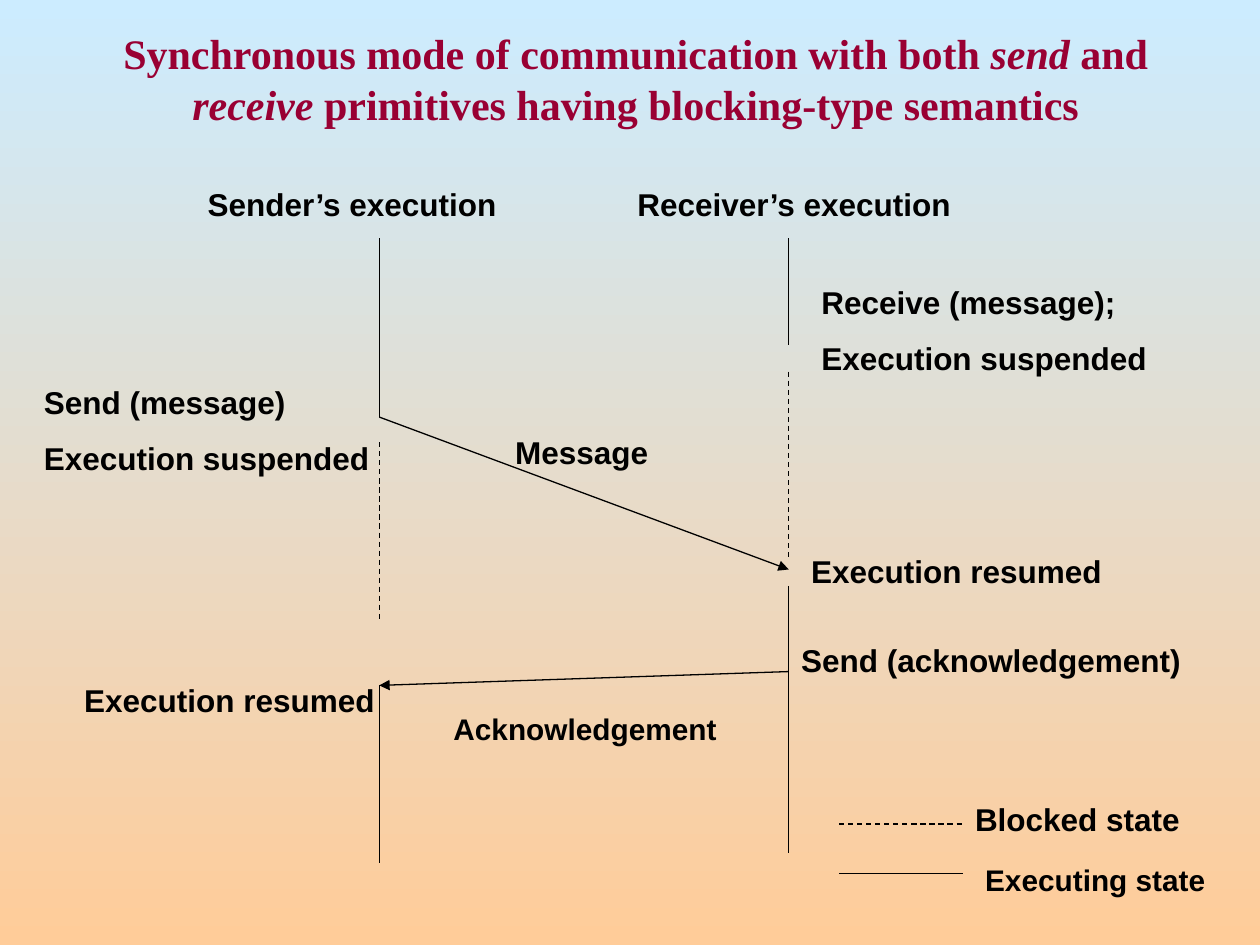
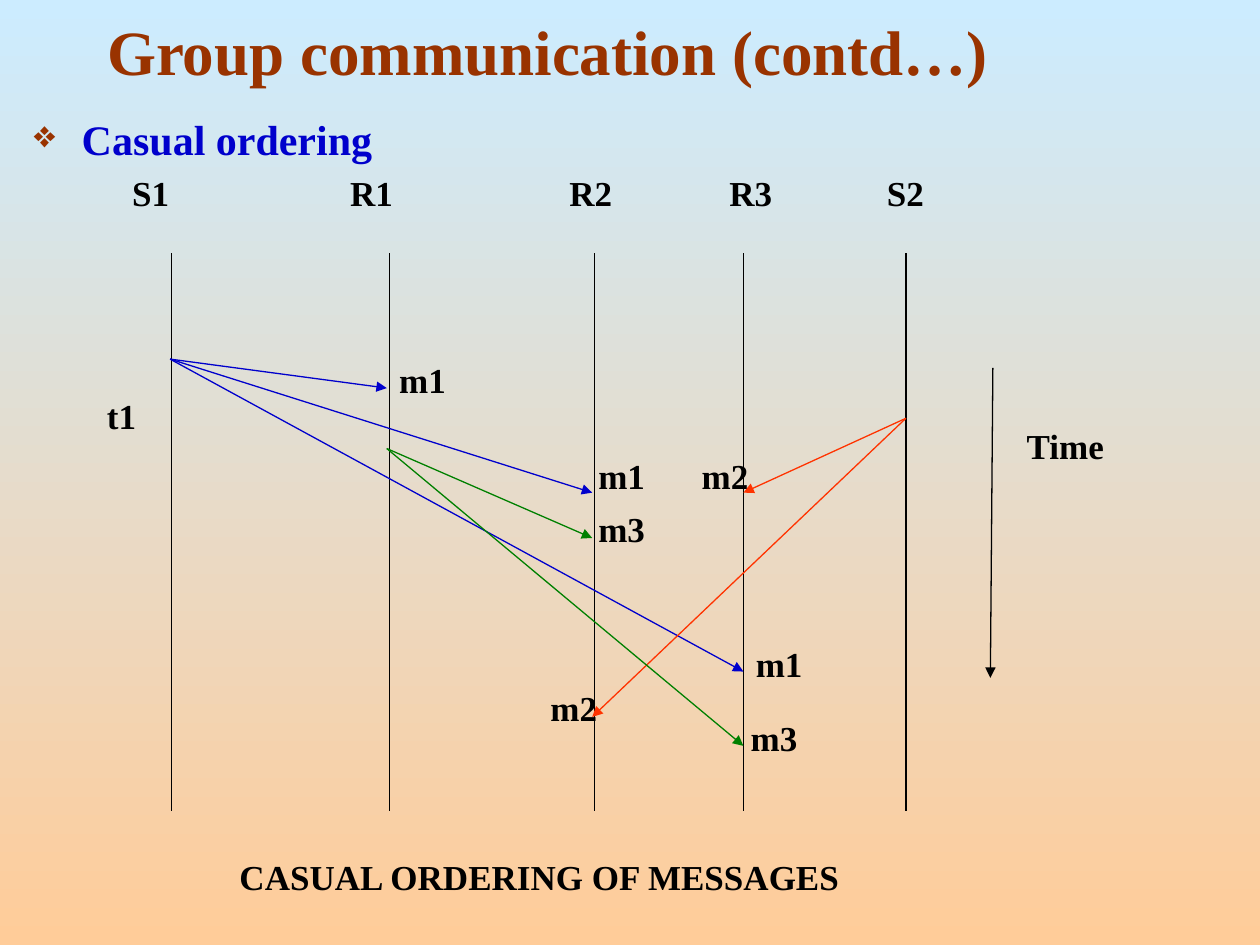
from dataclasses import dataclass
from typing import Any

from lxml import etree
from pptx import Presentation
from pptx import util as u
from pptx.dml.color import RGBColor
from pptx.enum import dml, shapes, text
from pptx.oxml import ns

SKY = RGBColor(0xCC, 0xEC, 0xFF)
PEACH = RGBColor(0xFF, 0xCC, 0x99)
BLACK = RGBColor(0x00, 0x00, 0x00)
CRIMSON = RGBColor(0x99, 0x00, 0x33)
BROWN = RGBColor(0x99, 0x33, 0x00)
BLUE = RGBColor(0x00, 0x00, 0xCC)
GREEN = RGBColor(0x00, 0x80, 0x00)
RED = RGBColor(0xFF, 0x33, 0x00)
SANS, SERIF = "Arial", "Times New Roman"
LEFT, CENTER, RIGHT = text.PP_ALIGN.LEFT, text.PP_ALIGN.CENTER, text.PP_ALIGN.RIGHT


def write(frame, content, size=18, font=SANS, color=BLACK, align=LEFT,
          anchor=text.MSO_ANCHOR.TOP):
    """Fill a frame with bold text; each *marked* part is italic."""
    frame.word_wrap = True
    frame.auto_size = text.MSO_AUTO_SIZE.NONE
    frame.vertical_anchor = anchor
    for number, line in enumerate(content.split("\n")):
        paragraph = frame.add_paragraph() if number else frame.paragraphs[0]
        paragraph.alignment = align
        paragraph.space_before = u.Pt(size * 0.57 if number else 0)
        for part_number, part in enumerate(line.split("*")):
            run = paragraph.add_run()
            run.text = part
            run.font.size, run.font.name = u.Pt(size), font
            run.font.bold, run.font.italic = True, part_number % 2 == 1
            run.font.color.rgb = color


@dataclass
class Region:
    """A part of a slide; its lengths are inches from its top left corner."""
    slide: Any
    left: float
    top: float

    def at(self, x, y):
        return u.Inches(self.left + x), u.Inches(self.top + y)

    def label(self, content, x, y, width, height=0.4, **style):
        box = self.slide.shapes.add_textbox(
            *self.at(x, y), u.Inches(width), u.Inches(height))
        write(box.text_frame, content, **style)
        return box.text_frame.paragraphs[0]

    def line(self, start, end, color=BLACK, dashed=False, arrow=False):
        connector = self.slide.shapes.add_connector(
            shapes.MSO_CONNECTOR.STRAIGHT, *self.at(*start), *self.at(*end))
        connector.line.color.rgb = color
        connector.line.width = u.Pt(0.75)
        if dashed:
            connector.line.dash_style = dml.MSO_LINE.DASH
        if arrow:
            etree.SubElement(connector.line._get_or_add_ln(), ns.qn("a:tailEnd"),
                             type="triangle")
        etree.SubElement(connector._element.spPr, ns.qn("a:effectLst"))


def paint_background(master):
    fill = master.background.fill
    fill.gradient()
    fill.gradient_angle = 270
    for stop, color in zip(fill.gradient_stops, (SKY, PEACH)):
        stop.color.rgb = color


def add_titled_slide(prs, title, box, **style):
    slide = prs.slides.add_slide(prs.slide_layouts[5])
    holder = slide.shapes.title
    holder.left, holder.top, holder.width, holder.height = map(u.Inches, box)
    write(holder.text_frame, title, font=SERIF, **style)
    return slide


def draw_exchange(region):
    """Sender and receiver timelines with the two messages between them."""
    sender, receiver = 2.76, 6.01
    states = {
        sender: [(0.47, 1.89), (2.09, 3.5), (4.02, 5.43)],
        receiver: [(0.47, 1.32), (1.53, 3.02), (3.23, 5.35)],
    }
    for x, spans in states.items():
        for number, (start, end) in enumerate(spans):
            region.line((x, start), (x, end), dashed=number == 1)
    region.line((sender, 1.89), (receiver, 3.1), arrow=True)
    region.line((receiver, 3.91), (sender, 4.02), arrow=True)

    for content, x, y, width in [
        ("Sender’s execution", 1.3, 0, 2.6),
        ("Receiver’s execution", 4.71, 0, 2.92),
        ("Message", 3.74, 1.97, 1.95),
        ("Execution resumed", 0.32, 3.94, 2.6),
        ("Send (acknowledgement)", receiver, 3.62, 3.25),
        ("Execution resumed", 6.09, 2.91, 2.6),
    ]:
        region.label(content, x, y, width)
    region.label("Acknowledgement", 3.25, 4.17, 2.35, size=17)
    region.label("Send (message)\nExecution suspended", 0, 1.57, 2.92, 0.85)
    region.label("Receive (message);\nExecution suspended", 6.17, 0.78, 2.92, 0.85)


def draw_legend(region):
    region.line((0, 0.24), (0.98, 0.24), dashed=True)
    region.label("Blocked state", 0.98, 0, 1.87)
    region.line((0, 0.63), (0.98, 0.63))
    region.label("Executing state", 1.06, 0.49, 2.03, size=17)


def add_bullet_heading(region, content):
    heading = region.label(content, 0, 0, 9.58, 0.6, size=24, font=SERIF, color=BLUE,
                           align=text.PP_ALIGN.JUSTIFY)
    heading.line_spacing = 1.25
    properties = heading._p.get_or_add_pPr()
    properties.set("marL", str(u.Inches(0.38)))
    properties.set("indent", str(u.Inches(-0.38)))
    bullet_color = etree.SubElement(properties, ns.qn("a:buClr"))
    etree.SubElement(bullet_color, ns.qn("a:srgbClr"), val=str(BROWN))
    etree.SubElement(properties, ns.qn("a:buSzPct"), val="90000")
    etree.SubElement(properties, ns.qn("a:buChar"), char="❖")


def draw_ordering(region):
    """Five process timelines, the multicasts between them and a time arrow."""
    style = dict(size=20, font=SERIF)
    for process, label_x, line_x in [
        ("S1", 0.2, 0.61), ("R1", 1.93, 2.34), ("R2", 3.67, 3.97),
        ("R3", 4.94, 5.15), ("S2", 6.19, 6.44),
    ]:
        region.line((line_x, 0.7), (line_x, 5.13))
        region.label(process, label_x, 0, 0.82, **style)

    multicasts = [
        ("m1", BLUE, (0.6, 1.54), [((2.32, 1.77), (2.32, 1.49)),
                                   ((3.95, 2.6), (3.9, 2.25)),
                                   ((5.15, 4.02), (5.15, 3.74))]),
        ("m2", RED, (6.44, 2.01), [((3.95, 4.38), (3.52, 4.09)),
                                   ((5.15, 2.6), (4.72, 2.25))]),
        ("m3", GREEN, (2.32, 2.25), [((3.95, 2.96), (3.9, 2.67)),
                                     ((5.15, 4.61), (5.11, 4.33))]),
    ]
    for message, color, origin, deliveries in multicasts:
        for arrival, label_at in deliveries:
            region.line(origin, arrival, color, arrow=True)
            region.label(message, *label_at, 0.82, **style)

    region.label("t1", 0, 1.77, 0.82, **style)
    region.line((7.13, 1.61), (7.11, 4.07), arrow=True)
    region.label("Time", 7.3, 2.01, 1.53, **style)
    region.label("CASUAL ORDERING OF MESSAGES", 0.82, 5.43, 5.19, align=RIGHT, **style)


def main():
    prs = Presentation()
    prs.slide_width, prs.slide_height = u.Inches(10), u.Inches(7.5)
    paint_background(prs.slide_master)

    synchronous = add_titled_slide(
        prs,
        "Synchronous mode of communication with both *send* and "
        "*receive* primitives having blocking-type semantics",
        (0.42, 0.17, 9.25, 0.9), size=24, color=CRIMSON, align=CENTER)
    draw_exchange(Region(synchronous, 0.25, 1.42))
    draw_legend(Region(synchronous, 6.66, 6.3))

    group = add_titled_slide(
        prs, "Group communication (contd…)", (0.75, 0.08, 8.83, 0.67),
        size=36, color=BROWN, anchor=text.MSO_ANCHOR.BOTTOM)
    add_bullet_heading(Region(group, 0.17, 0.75), "Casual ordering")
    draw_ordering(Region(group, 0.75, 1.31))

    prs.save("out.pptx")


if __name__ == "__main__":
    main()
